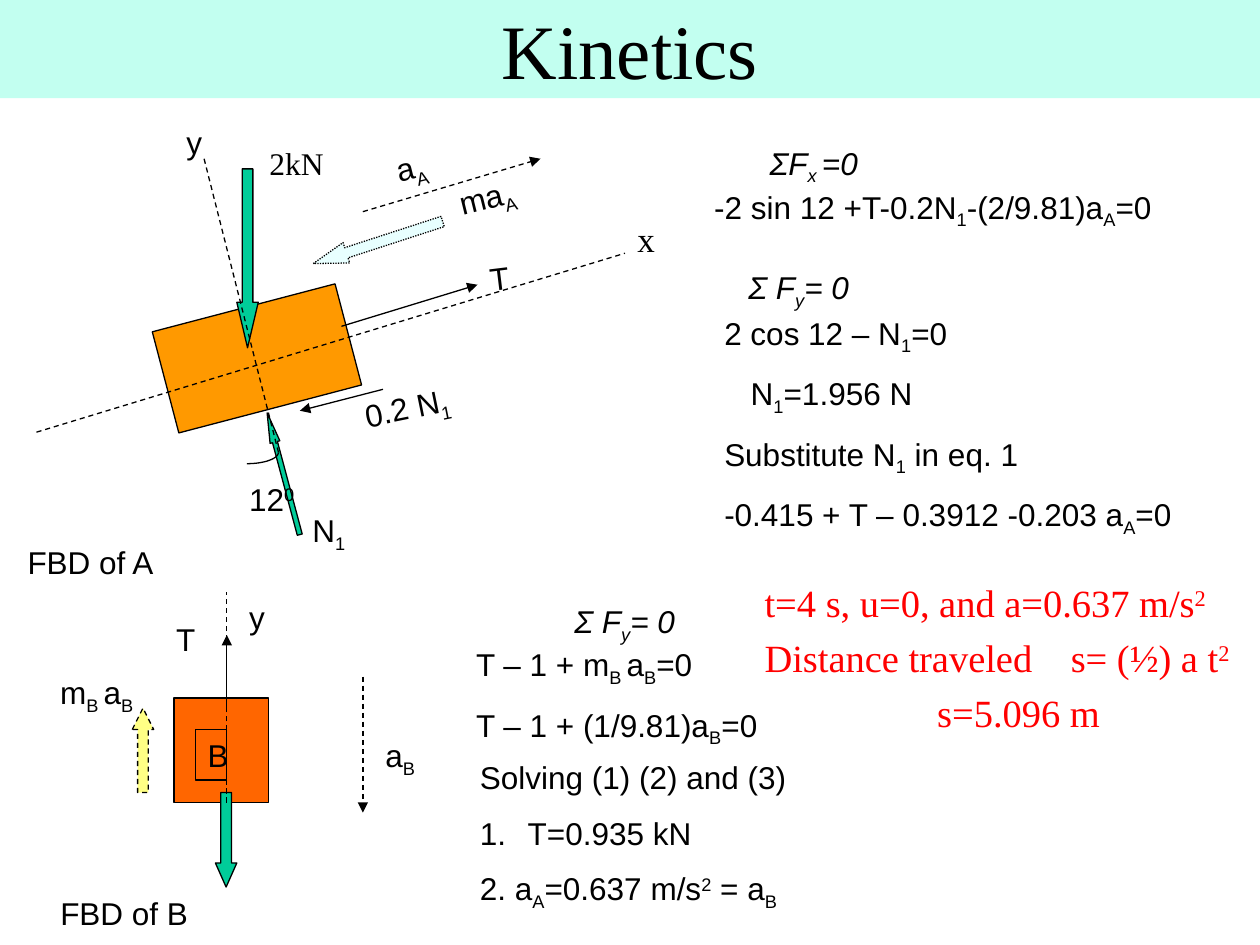
import math

import pptx
import pptx.dml.color
import pptx.enum.dml
import pptx.enum.shapes
import pptx.enum.text
import pptx.oxml.ns
import pptx.util
from lxml import etree

Inches = pptx.util.Inches
Pt = pptx.util.Pt
Shape = pptx.enum.shapes.MSO_SHAPE
Dash = pptx.enum.dml.MSO_LINE
Align = pptx.enum.text.PP_ALIGN
Anchor = pptx.enum.text.MSO_ANCHOR
qn = pptx.oxml.ns.qn

BODY = {"name": "Arial", "size": Pt(18)}
ITALIC = {**BODY, "italic": True}
SERIF = {**BODY, "name": "Times New Roman"}


def color(value):
    return pptx.dml.color.RGBColor.from_string(value)


def write_spans(para, text, font, ink):
    """Odd pieces between underscores are subscripts, or superscripts after ^."""
    for index, piece in enumerate(text.split("_")):
        if not piece:
            continue
        span = para.add_run()
        span.text = piece.lstrip("^")
        for name, value in font.items():
            setattr(span.font, name, value)
        span.font.color.rgb = color(ink)
        if index % 2:
            baseline = "30000" if piece.startswith("^") else "-25000"
            span._r.get_or_add_rPr().set("baseline", baseline)


def write_text(shape, lines, font=BODY, ink="000000", gap=10):
    frame = shape.text_frame
    frame.word_wrap = True
    for index, line in enumerate(lines):
        para = frame.add_paragraph() if index else frame.paragraphs[0]
        if index:
            para.space_before = Pt(gap)
        write_spans(para, line, font, ink)
    return frame.paragraphs


def add_text(page, at, *lines, rotation=0, **style):
    box = page.shapes.add_textbox(*map(Inches, at))
    box.rotation = rotation
    return write_text(box, lines, **style)


def set_indent(para, left, first=0):
    properties = para._p.get_or_add_pPr()
    properties.set("marL", str(Inches(left)))
    properties.set("indent", str(Inches(first)))


def number_paragraph(para):
    etree.SubElement(para._p.get_or_add_pPr(), qn("a:buAutoNum"), type="arabicPeriod")


def add_tab_stop(para, position):
    stops = etree.SubElement(para._p.get_or_add_pPr(), qn("a:tabLst"))
    etree.SubElement(stops, qn("a:tab"), pos=str(Inches(position)), algn="l")


def set_outline(line, dash=None):
    line.color.rgb = color("000000")
    line.width = Pt(0.75)
    if dash:
        line.dash_style = dash


def add_block(page, kind, at, fill=None, rotation=0, head=None, alpha=None,
              dash=None, outline=True):
    block = page.shapes.add_shape(kind, *map(Inches, at))
    block.shadow.inherit = False
    block.rotation = rotation
    if head:
        block.adjustments[0], block.adjustments[1] = 0.5, head
    if fill:
        block.fill.solid()
        block.fill.fore_color.rgb = color(fill)
    else:
        block.fill.background()
    if alpha:
        shade = block.fill._xPr.find(".//" + qn("a:srgbClr"))
        etree.SubElement(shade, qn("a:alpha"), val=str(alpha * 1000))
    if outline:
        set_outline(block.line, dash)
    else:
        block.line.fill.background()
    return block


def add_line(page, start, end, dash=None, arrow=True):
    line = page.shapes.add_connector(
        pptx.enum.shapes.MSO_CONNECTOR.STRAIGHT, *map(Inches, start + end))
    set_outline(line.line, dash)
    if arrow:
        etree.SubElement(line.line._get_or_add_ln(), qn("a:tailEnd"), type="triangle")
    etree.SubElement(line._element.spPr, qn("a:effectLst"))


def add_angle_mark(page, center, width, height, steps=16):
    angles = [math.pi / 2 * step / steps for step in range(steps + 1)]
    points = [(Inches(center[0] + width * math.cos(angle)),
               Inches(center[1] + height * math.sin(angle))) for angle in angles]
    builder = page.shapes.build_freeform(*points[0])
    builder.add_line_segments(points[1:], close=False)
    mark = builder.convert_to_shape()
    mark.shadow.inherit = False
    mark.fill.background()
    set_outline(mark.line)


def add_title(page):
    band = add_block(page, Shape.RECTANGLE, (0, 0, 10, 0.78), "C2FFF0", outline=False)
    band.text_frame.vertical_anchor = Anchor.MIDDLE
    write_text(band, ["Kinetics"], {**SERIF, "size": Pt(44)})[0].alignment = Align.CENTER


def draw_body_a(page):
    # Block, forces and axes
    add_block(page, Shape.UP_ARROW, (2.21, 3.26, 0.08, 1), "00CC99", 345, head=3)
    add_block(page, Shape.RECTANGLE, (1.29, 2.43, 1.5, 0.83), "FF9900", 345.3)
    add_line(page, (3.04, 3.09), (2.38, 3.26))
    add_block(page, Shape.DOWN_ARROW, (1.88, 1.34, 0.17, 1.42), "00CC99", head=2.125)
    add_angle_mark(page, (1.96, 3.59), 0.25, 0.09)
    add_line(page, (2.71, 2.59), (3.79, 2.26))
    add_line(page, (0.29, 3.43), (4.96, 2.01), Dash.DASH, arrow=False)
    add_line(page, (1.62, 1.26), (2.21, 3.59), Dash.DASH, arrow=False)
    add_line(page, (2.88, 1.68), (4.29, 1.26), Dash.DASH)
    add_block(page, Shape.LEFT_ARROW, (2.46, 1.84, 1.08, 0.17), "CCFFFF", 342,
              head=1.625, alpha=45, dash=Dash.ROUND_DOT)
    # Labels
    for at, text, rotation in (
            ((3.04, 1.09, 0.75, 0.4), "a_A_", 346.1),
            ((1.88, 3.76, 0.67, 0.4), "12_^0_", 0),
            ((3.79, 2.01, 0.26, 0.4), "T", 353),
            ((2.38, 4.01, 0.58, 0.4), "N_1_", 0),
            ((2.82, 3.01, 1.08, 0.7), "0.2 N_1_", 348.5),
            ((0.12, 4.26, 2.92, 0.4), "FBD of A", 0),
            ((3.54, 1.34, 0.83, 0.4), "ma_A_", 346.1),
            ((1.38, 0.93, 0.25, 0.4), "y", 0)):
        add_text(page, at, text, rotation=rotation)
    add_text(page, (2.04, 1.09, 0.67, 0.4), "2kN", font=SERIF)
    add_text(page, (4.96, 1.68, 0.25, 0.43), "x", font={**SERIF, "size": Pt(20)})


def draw_body_b(page):
    # Block, forces and axis
    add_block(page, Shape.RECTANGLE, (1.38, 5.54, 0.75, 0.83), "FF6600")
    letter = add_block(page, Shape.RECTANGLE, (1.55, 5.79, 0.25, 0.4))
    letter.text_frame.vertical_anchor = Anchor.TOP
    write_text(letter, ["B"])[0].alignment = Align.LEFT
    add_line(page, (1.8, 5.62), (1.8, 5.04))
    add_block(page, Shape.DOWN_ARROW, (1.71, 6.29, 0.17, 0.75), "00CC99", head=1.125)
    add_line(page, (2.88, 5.37), (2.88, 6.45), Dash.DASH)
    add_block(page, Shape.UP_ARROW, (1.05, 5.62, 0.17, 0.67), "FFFF00",
              head=1, alpha=48, dash=Dash.DASH)
    add_line(page, (1.8, 6.37), (1.8, 4.7), Dash.DASH, arrow=False)
    # Labels
    for left, top, width, text in (
            (1.3, 4.87, 0.42, "T"), (2.96, 5.79, 0.67, "a_B_"),
            (0.38, 5.29, 1, "m_B _a_B_"), (1.88, 4.7, 0.33, "y"),
            (0.38, 7.05, 2.92, "FBD of B")):
        add_text(page, (left, top, width, 0.4), text)


def write_equations(page):
    # Body A
    add_text(page, (6.01, 1.09, 0.93, 0.4), "ΣF_x _=0", font=ITALIC)
    add_text(page, (5.57, 1.44, 3.83, 0.4), "-2 sin 12 +T-0.2N_1_-(2/9.81)a_A_=0")
    steps = add_text(page, (5.65, 2.44, 4.17, 1.77), "2 cos 12 – N_1_=0", "N_1_=1.956 N",
                     "Substitute N_1_ in eq. 1", "-0.415 + T – 0.3912 -0.203 a_A_=0")
    set_indent(steps[1], 0.21)
    # Body B
    for left, top in ((5.84, 2.08), (4.46, 4.73)):
        add_text(page, (left, top, 1.09, 0.4), "Σ F_y_= 0", font=ITALIC)
    add_text(page, (3.68, 5.07, 3.83, 0.85),
             "T – 1 + m_B _a_B_=0", "T – 1 + (1/9.81)a_B_=0")
    results = add_text(page, (3.71, 5.97, 3.25, 1.3), "Solving (1) (2) and (3)",
                       "T=0.935 kN", "2. a_A_=0.637 m/s_^2_ = a_B_")
    set_indent(results[1], 0.38, -0.38)
    number_paragraph(results[1])
    # Distance travelled
    answer = add_text(page, (5.97, 4.55, 4.1, 1.37), "t=4 s, u=0, and a=0.637 m/s_^2_",
                      "Distance traveled\ts= (½) a t_^2_", "s=5.096 m",
                      font={**SERIF, "size": Pt(22)}, ink="FF0000", gap=5)
    add_tab_stop(answer[1], 2.43)
    set_indent(answer[2], 1.37)


def main():
    deck = pptx.Presentation()
    deck.slide_width, deck.slide_height = Inches(10), Inches(7.5)
    page = deck.slides.add_slide(deck.slide_layouts[6])
    add_title(page)
    draw_body_a(page)
    draw_body_b(page)
    write_equations(page)
    deck.save("out.pptx")


if __name__ == "__main__":
    main()
